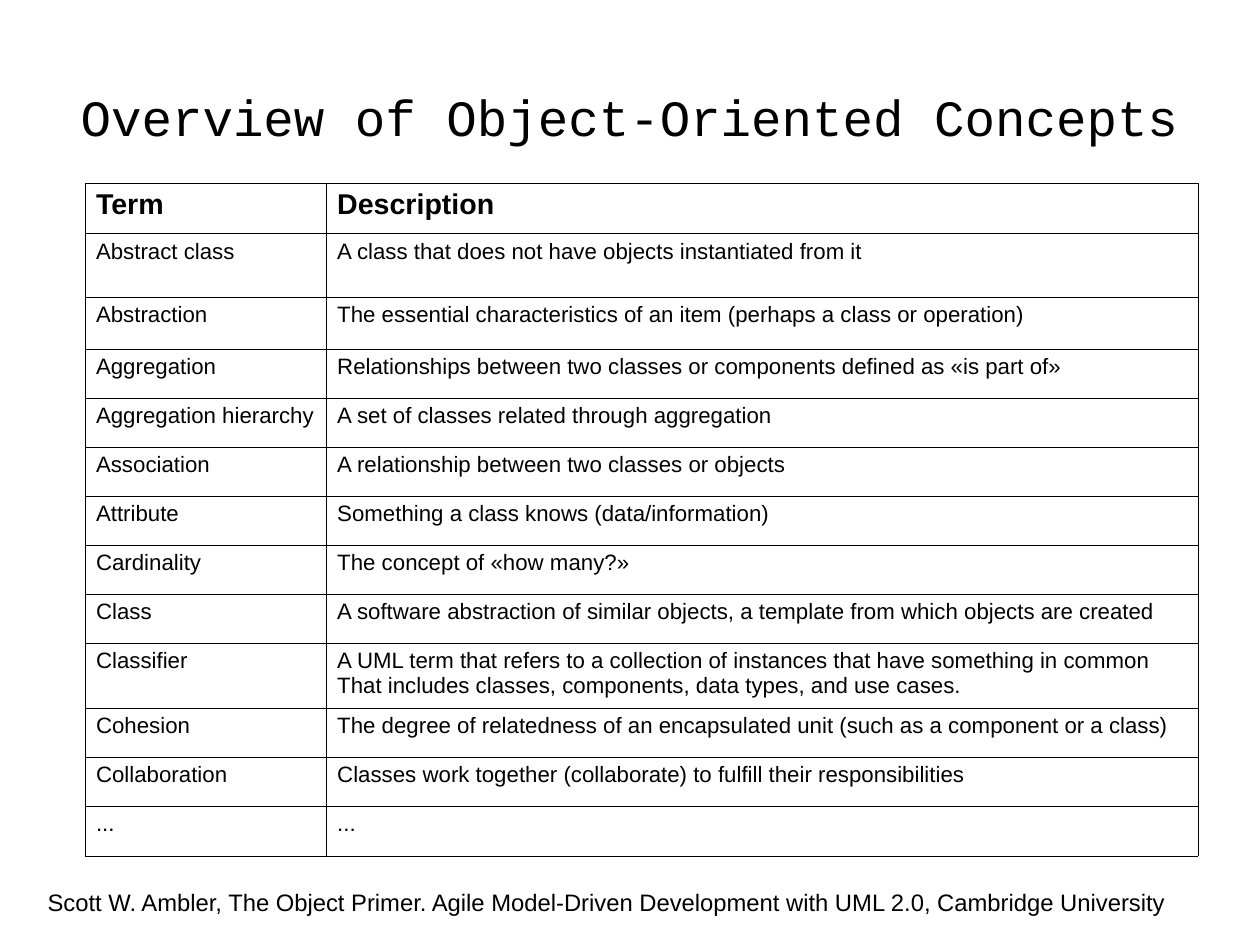
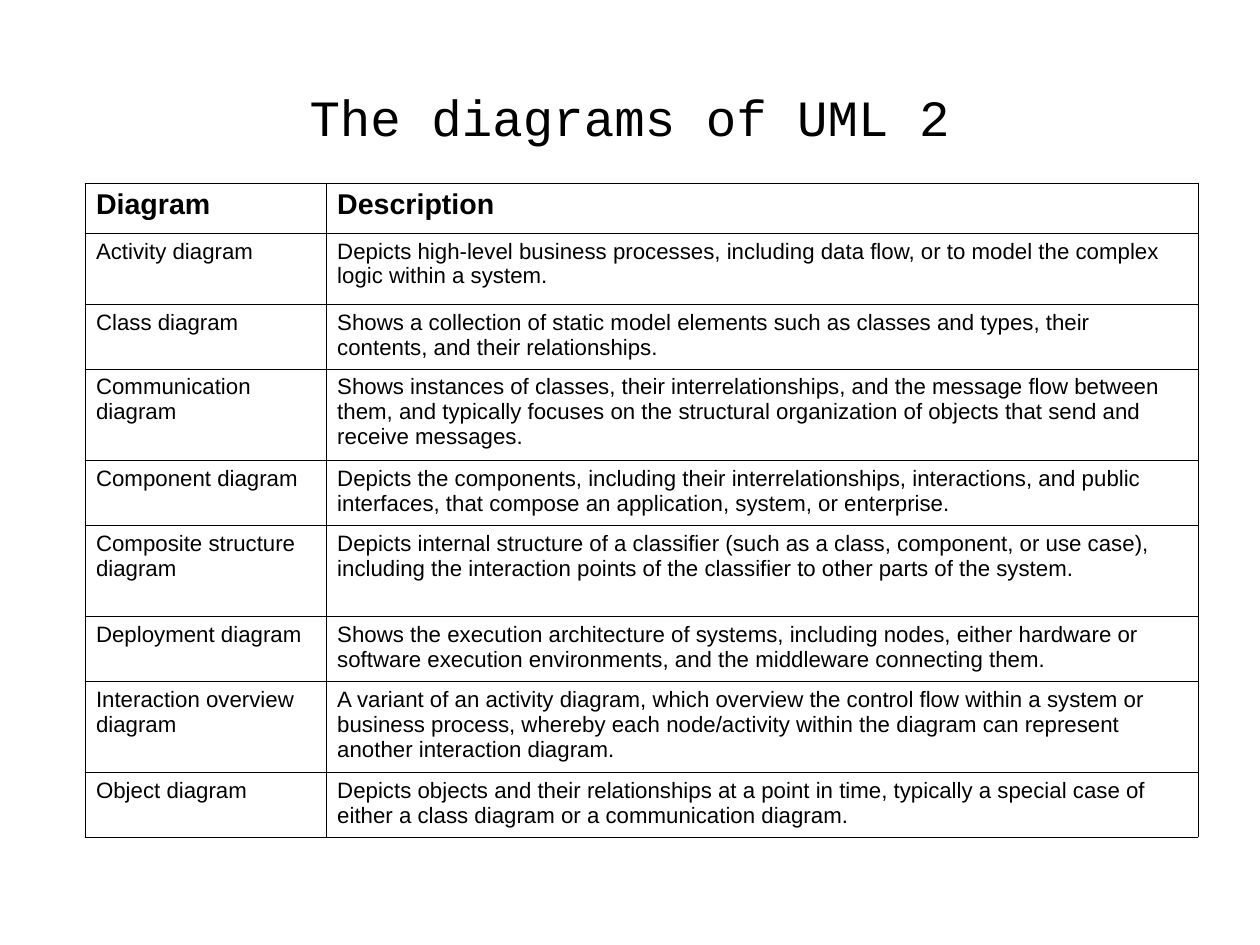
from lxml.etree import SubElement
from pptx import Presentation
from pptx.dml.color import RGBColor
from pptx.enum.text import MSO_ANCHOR, MSO_AUTO_SIZE, PP_ALIGN
from pptx.oxml.ns import qn
from pptx.util import Cm, Pt

BLACK = RGBColor(0x00, 0x00, 0x00)
BODY_FONT = "Arial"
TITLE_FONT = "Courier New"
TITLE_BOX = (Cm(1.4), Cm(0.84), Cm(25.2), Cm(3.5))
TABLE_BOX = (Cm(1.88), Cm(4.07), Cm(24.74))
SOURCE_BOX = (Cm(0.81), Cm(19.6), Cm(26.6), Cm(1.4))
TERM_WIDTH = Cm(5.36)
HEADER_HEIGHT = 1.11
BORDER_WIDTH = Pt(0.06)

CONCEPTS = [
    (1.42, "Abstract class", "A class that does not have objects instantiated from it"),
    (1.15, "Abstraction", "The essential characteristics of an item (perhaps a class or operation)"),
    (1.09, "Aggregation", "Relationships between two classes or components defined as «is part of»"),
    (1.09, "Aggregation hierarchy", "A set of classes related through aggregation"),
    (1.09, "Association", "A relationship between two classes or objects"),
    (1.09, "Attribute", "Something a class knows (data/information)"),
    (1.09, "Cardinality", "The concept of «how many?»"),
    (1.09, "Class", "A software abstraction of similar objects, a template from which objects are created"),
    (1.44, "Classifier", "A UML term that refers to a collection of instances that have something in common\n"
     "That includes classes, components, data types, and use cases."),
    (1.09, "Cohesion", "The degree of relatedness of an encapsulated unit (such as a component or a class)"),
    (1.09, "Collaboration", "Classes work together (collaborate) to fulfill their responsibilities"),
    (1.11, "...", "..."),
]

DIAGRAMS = [
    (1.58, "Activity diagram", "Depicts high-level business processes, including data flow, "
     "or to model the complex logic within a system."),
    (1.44, "Class diagram", "Shows a collection of static model elements such as classes and types, "
     "their contents, and their relationships."),
    (2.03, "Communication diagram", "Shows instances of classes, their interrelationships, and the message "
     "flow between them, and typically focuses on the structural organization of objects that send and "
     "receive messages."),
    (1.44, "Component diagram", "Depicts the components, including their interrelationships, interactions, "
     "and public interfaces, that compose an application, system, or enterprise."),
    (2.03, "Composite structure diagram", "Depicts internal structure of a classifier (such as a class, "
     "component, or use case), including the interaction points of the classifier to other parts of the system."),
    (1.44, "Deployment diagram", "Shows the execution architecture of systems, including nodes, either "
     "hardware or software execution environments, and the middleware connecting them."),
    (2.03, "Interaction overview diagram", "A variant of an activity diagram, which overview the control flow "
     "within a system or business process, whereby each node/activity within the diagram can represent "
     "another interaction diagram."),
    (1.44, "Object diagram", "Depicts objects and their relationships at a point in time, typically a special "
     "case of either a class diagram or a communication diagram."),
]


def format_text(text_frame, font_name, size, bold=False, alignment=PP_ALIGN.LEFT):
    """Give every paragraph and run the same look."""
    for paragraph in text_frame.paragraphs:
        paragraph.alignment = alignment
        for run in paragraph.runs:
            run.font.name = font_name
            run.font.size = Pt(size)
            run.font.bold = bold
            run.font.color.rgb = BLACK


def add_borders(cell):
    """Draw a thin black line on all four sides of a cell."""
    properties = cell._tc.get_or_add_tcPr()
    for side in ("a:lnL", "a:lnR", "a:lnT", "a:lnB"):
        line = SubElement(properties, qn(side), w=str(BORDER_WIDTH))
        fill = SubElement(line, qn("a:solidFill"))
        SubElement(fill, qn("a:srgbClr"), val=str(BLACK))


def add_title(slide, text, box):
    """Fill the title placeholder and place it in the box."""
    title = slide.shapes.title
    title.left, title.top, title.width, title.height = box
    text_frame = title.text_frame
    text_frame.text = text
    text_frame.auto_size = MSO_AUTO_SIZE.NONE
    text_frame.vertical_anchor = MSO_ANCHOR.MIDDLE
    text_frame.margin_left = text_frame.margin_right = 0
    text_frame.margin_top = text_frame.margin_bottom = 0
    format_text(text_frame, TITLE_FONT, 32, alignment=PP_ALIGN.CENTER)


def add_glossary(slide, term_heading, entries, box):
    """Add a table of terms and descriptions below its heading row."""
    left, top, width = box
    rows = [(HEADER_HEIGHT, term_heading, "Description")] + entries
    height = Cm(sum(row[0] for row in rows))
    table = slide.shapes.add_table(len(rows), 2, left, top, width, height).table
    table.first_row = table.horz_banding = False
    table.columns[0].width = TERM_WIDTH
    table.columns[1].width = width - TERM_WIDTH
    for index, (row_height, *texts) in enumerate(rows):
        table.rows[index].height = Cm(row_height)
        is_heading = index == 0
        for cell, text in zip(table.rows[index].cells, texts):
            cell.text_frame.text = text
            format_text(cell.text_frame, BODY_FONT, 18 if is_heading else 14, is_heading)
            add_borders(cell)
            cell.fill.background()


def add_source(slide, text, box):
    """Add the source line at the foot of the slide."""
    text_frame = slide.shapes.add_textbox(*box).text_frame
    text_frame.word_wrap = True
    text_frame.text = text
    format_text(text_frame, BODY_FONT, 15)


def add_glossary_slide(presentation, title, term_heading, entries):
    """Add a slide with a title and a glossary table."""
    slide = presentation.slides.add_slide(presentation.slide_layouts.get_by_name("Title Only"))
    add_title(slide, title, TITLE_BOX)
    add_glossary(slide, term_heading, entries, TABLE_BOX)
    return slide


def main():
    """Build and save the presentation."""
    presentation = Presentation()
    presentation.slide_width = Cm(28)
    presentation.slide_height = Cm(21)
    concepts_slide = add_glossary_slide(
        presentation, "Overview of Object-Oriented Concepts", "Term", CONCEPTS)
    add_source(concepts_slide, "Scott W. Ambler, The Object Primer. Agile Model-Driven Development "
               "with UML 2.0, Cambridge University", SOURCE_BOX)
    add_glossary_slide(presentation, "The diagrams of UML 2", "Diagram", DIAGRAMS)
    presentation.save("out.pptx")


if __name__ == "__main__":
    main()
